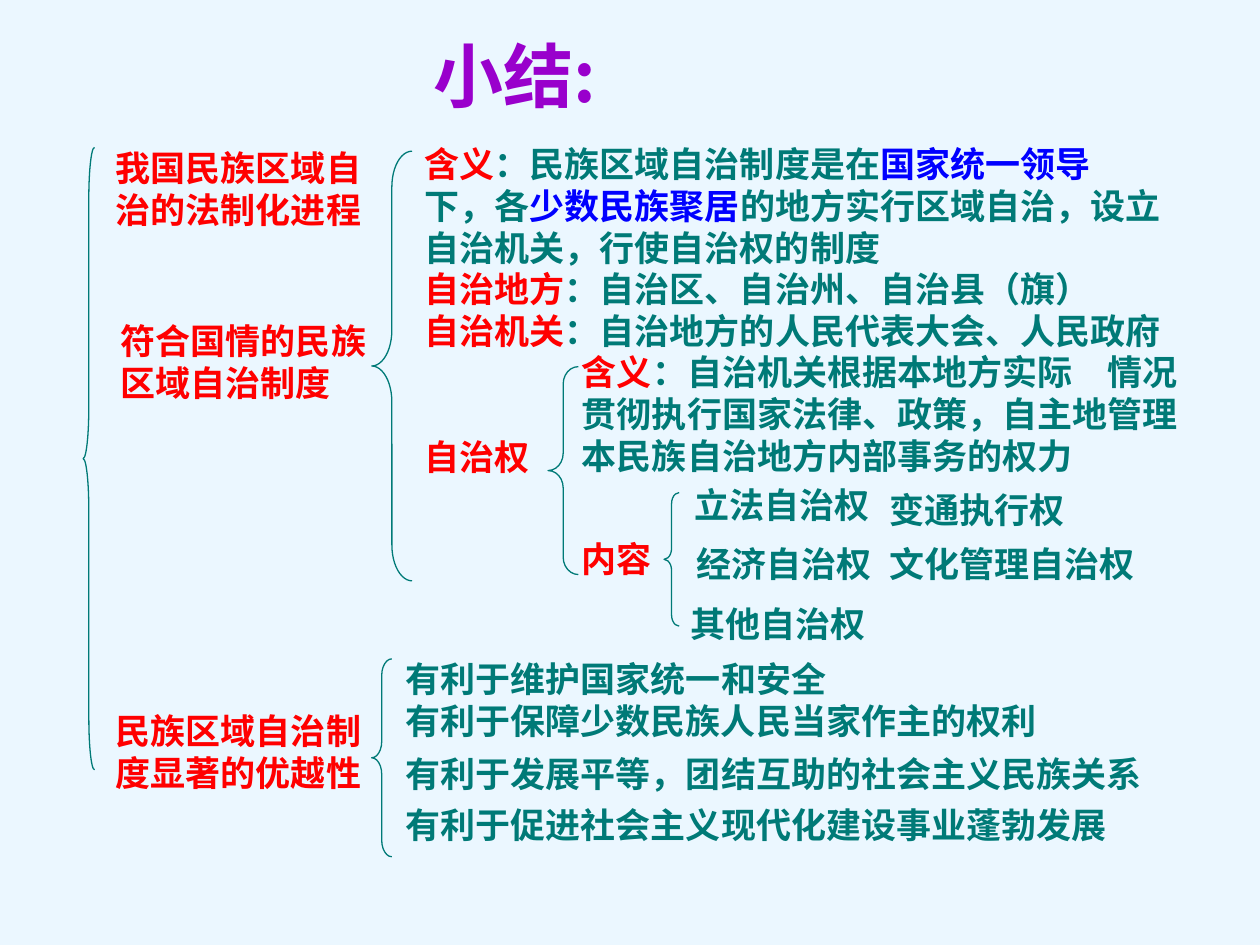
"""Build the summary slide on regional ethnic autonomy as a bracketed outline."""
from pptx import Presentation
from pptx.dml.color import RGBColor
from pptx.enum.shapes import MSO_SHAPE as SHAPE
from pptx.enum.text import MSO_AUTO_SIZE as FIT
from pptx.util import Inches, Pt

WIDTH, HEIGHT = 10, 7.5
SKY = RGBColor(0xEB, 0xF7, 0xFF)
RED = RGBColor(0xFF, 0x00, 0x00)
TEAL = RGBColor(0x00, 0x7A, 0x77)
BLUE = RGBColor(0x00, 0x00, 0xFF)
PURPLE = RGBColor(0x99, 0x00, 0xCC)
SERIF, SANS = "Times New Roman", "Noto Sans CJK SC"
LINE, PAD = 0.33, 0.1
TOPIC, BRANCH, DETAIL, BENEFIT = 0.82, 3.27, 4.52, 3.12
RIGHT = 9.52


def add_text(slide, x, y, w, runs, lines=1, size=20, font=SERIF, wrap=True):
    """Add a bold text box of coloured runs; None stands for a line break."""
    h = lines * LINE * size / 20 + PAD
    sp = slide.shapes.add_textbox(Inches(x), Inches(y), Inches(w), Inches(h))
    tf = sp.text_frame
    tf.word_wrap = wrap
    tf.auto_size = FIT.SHAPE_TO_FIT_TEXT
    p = tf.paragraphs[0]
    for run in runs:
        if run is None:
            p.add_line_break()
            continue
        r = p.add_run()
        r.text, r.font.color.rgb = run
        r.font.name, r.font.size, r.font.bold = font, Pt(size), True


def add_brace(slide, x, y, w, h):
    """Add a thin left brace whose curves each take a twelfth of its height."""
    sp = slide.shapes.add_shape(SHAPE.LEFT_BRACE, Inches(x), Inches(y), Inches(w), Inches(h))
    sp.adjustments[0] = h / 12 / w
    sp.shadow.inherit = False
    sp.fill.background()
    sp.line.color.rgb = TEAL
    sp.line.width = Pt(0.75)


def add_topics(slide):
    """Add the three main topics on the left."""
    for x, y, w, topic in (
        (TOPIC, 1.11, 2.21, "我国民族区域自治的法制化进程"),
        (TOPIC + 0.04, 2.49, 2.32, "符合国情的民族区域自治制度"),
        (TOPIC, 5.58, 2.21, "民族区域自治制度显著的优越性"),
    ):
        add_text(slide, x, y, w, [(topic, RED)], lines=2)


def add_system(slide):
    """Add the branches that explain the autonomy system."""
    w = RIGHT - BRANCH
    add_text(slide, BRANCH, 1.08, w, [
        ("含义", RED), ("：民族区域自治制度是在", TEAL), ("国家统一领导", BLUE), None,
        ("下，各", TEAL), ("少数民族聚居", BLUE),
        ("的地方实行区域自治，设立自治机关，行使自治权的制度", TEAL),
    ], lines=3, font=SANS)
    add_text(slide, BRANCH, 2.07, 5.58, [("自治地方", RED), ("：自治区、自治州、自治县（旗）", TEAL)])
    add_text(slide, BRANCH, 2.41, w, [("自治机关", RED), ("：自治地方的人民代表大会、人民政府", TEAL)])
    add_text(slide, BRANCH, 3.41, 1.25, [("自治权", RED)])
    add_text(slide, DETAIL, 2.73, RIGHT - DETAIL, [
        ("含义", RED),
        ("：自治机关根据本地方实际　情况贯彻执行国家法律、政策，自主地管理本民族自治地方内部事务的权力", TEAL),
    ], lines=3)
    add_text(slide, DETAIL, 4.22, 0.91, [("内容", RED)])


def add_rights(slide):
    """Add the kinds of autonomous rights."""
    for x, y, w, right in (
        (5.41, 3.79, 2.25, "立法自治权"),
        (6.96, 3.83, 2.42, "变通执行权"),
        (5.43, 4.26, 2, "经济自治权"),
        (6.96, 4.26, 2.28, "文化管理自治权"),
        (5.38, 4.73, 2.67, "其他自治权"),
    ):
        add_text(slide, x, y, w, [(right, TEAL)])


def add_benefits(slide):
    """Add the advantages of the system."""
    for y, w, benefit in (
        (5.17, 6.25, "有利于维护国家统一和安全"),
        (5.5, 5.27, "有利于保障少数民族人民当家作主的权利"),
        (5.92, 6.25, "有利于发展平等，团结互助的社会主义民族关系"),
        (6.33, 6.25, "有利于促进社会主义现代化建设事业蓬勃发展"),
    ):
        add_text(slide, BENEFIT, y, w, [(benefit, TEAL)])


def main():
    """Build and save the slide."""
    prs = Presentation()
    prs.slide_width, prs.slide_height = Inches(WIDTH), Inches(HEIGHT)
    slide = prs.slides.add_slide(prs.slide_layouts[6])
    slide.background.fill.solid()
    slide.background.fill.fore_color.rgb = SKY
    add_text(slide, 3.34, 0.21, 1.77, [("小结:", PURPLE)], size=40, font=SANS, wrap=False)
    add_topics(slide)
    add_system(slide)
    add_rights(slide)
    add_benefits(slide)
    for brace in (
        (0.66, 1.17, 0.09, 4.94),
        (2.95, 1.2, 0.32, 3.41),
        (4.35, 2.91, 0.24, 1.65),
        (5.27, 3.91, 0.12, 1.06),
        (2.95, 5.23, 0.16, 1.57),
    ):
        add_brace(slide, *brace)
    prs.save("out.pptx")


if __name__ == "__main__":
    main()
